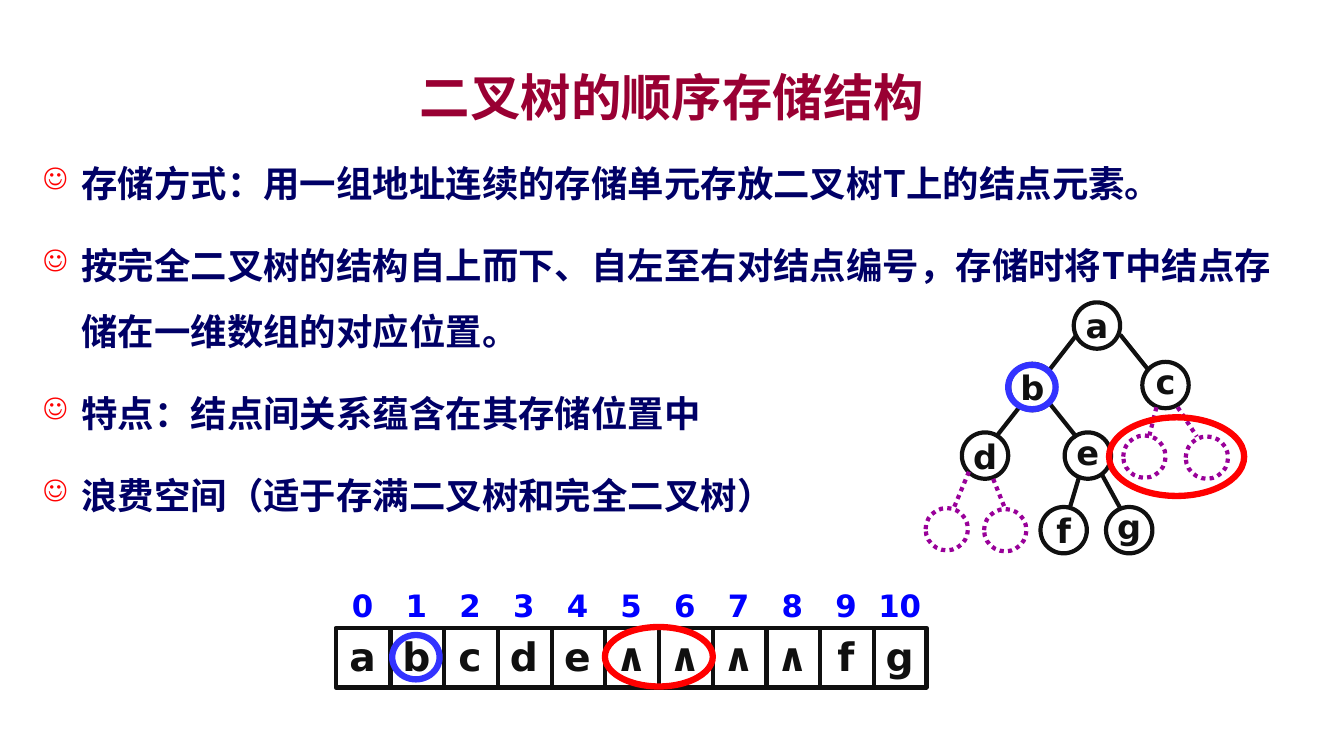
from lxml.etree import SubElement
from pptx import Presentation
from pptx.dml.color import RGBColor
from pptx.enum.dml import MSO_LINE as Dash
from pptx.enum.shapes import MSO_CONNECTOR, MSO_SHAPE as Preset
from pptx.enum.text import MSO_ANCHOR as Anchor, PP_ALIGN as Align
from pptx.oxml.ns import qn
from pptx.util import Inches, Pt

MAROON = RGBColor(0x99, 0x00, 0x33)
NAVY = RGBColor(0x00, 0x00, 0x66)
INK = RGBColor(0x10, 0x10, 0x10)
PURPLE = RGBColor(0x99, 0x00, 0x99)
RED = RGBColor(0xFF, 0x00, 0x00)
RING_BLUE = RGBColor(0x33, 0x33, 0xFF)
INDEX_BLUE = RGBColor(0x00, 0x00, 0xFF)
HAN_FONT = "Noto Sans CJK SC"
LETTER_FONT = "DejaVu Sans"


def draw(shapes, preset, box, color, width=3, dash=None):
    """Add a line from (x1, y1) to (x2, y2) if preset is None, else an unfilled outline."""
    lengths = [Inches(value) for value in box]
    if preset is None:
        item = shapes.add_connector(MSO_CONNECTOR.STRAIGHT, *lengths)
        SubElement(item._element.spPr, qn("a:effectLst"))
    else:
        item = shapes.add_shape(preset, *lengths)
        item.shadow.inherit = False
        item.fill.background()
    item.line.color.rgb = color
    item.line.width = Pt(width)
    if dash:
        item.line.dash_style = dash
    return item


def write(item, text, size, font, color, anchor=Anchor.MIDDLE, inset=0):
    """Put one centred bold line of text into a shape or text box."""
    frame = item.text_frame
    frame.text = text
    frame.word_wrap = inset > 0
    frame.vertical_anchor = anchor
    frame.margin_left = frame.margin_right = Inches(inset)
    frame.margin_top = frame.margin_bottom = Inches(inset / 2)
    line = frame.paragraphs[0]
    line.alignment = Align.CENTER
    run = line.runs[0]
    run.font.size, run.font.name, run.font.bold = Pt(size), font, True
    run.font.color.rgb = color
    SubElement(run.font._element, qn("a:ea"), typeface=font)


prs = Presentation()
prs.slide_width, prs.slide_height = Inches(13.33), Inches(7.5)
slide = prs.slides.add_slide(prs.slide_layouts[6])

# Title
title = slide.shapes.add_textbox(Inches(1), Inches(0.58), Inches(11.33), Inches(0.75))
write(title, "二叉树的顺序存储结构", 36, HAN_FONT, MAROON, inset=0.1)

# Bulleted points
points = [
    "存储方式：用一组地址连续的存储单元存放二叉树T上的结点元素。",
    "按完全二叉树的结构自上而下、自左至右对结点编号，存储时将T中结点存储在一维数组的对应位置。",
    "特点：结点间关系蕴含在其存储位置中",
    "浪费空间（适于存满二叉树和完全二叉树）",
]
body = slide.shapes.add_textbox(Inches(0.33), Inches(1.33), Inches(12.67), Inches(3.92)).text_frame
body.word_wrap = True
body.text = "\n".join(points)
for number, point in enumerate(body.paragraphs):
    point.line_spacing = 1.5
    point.space_before = Pt(6 if number else 0)
    point.space_after = Pt(6)
    props = point._p.get_or_add_pPr()
    props.set("marL", str(Inches(0.38)))
    props.set("indent", str(-Inches(0.38)))
    bullet_color = SubElement(props, qn("a:buClr"))
    SubElement(bullet_color, qn("a:srgbClr"), val=str(RED))
    SubElement(props, qn("a:buSzPct"), val="80000")
    SubElement(props, qn("a:buChar"), char="☺")
    run = point.runs[0]
    run.font.size, run.font.name, run.font.bold = Pt(26), HAN_FONT, True
    run.font.color.rgb = NAVY
    SubElement(run.font._element, qn("a:ea"), typeface=HAN_FONT)

# Binary tree
tree = slide.shapes.add_group_shape().shapes
nodes = [
    ("a", 10.65, 3, Anchor.MIDDLE), ("b", 10.01, 3.61, Anchor.MIDDLE),
    ("c", 11.33, 3.59, Anchor.BOTTOM), ("d", 9.54, 4.29, Anchor.MIDDLE),
    ("e", 10.56, 4.29, Anchor.BOTTOM), ("f", 10.32, 5.03, Anchor.MIDDLE),
    ("g", 10.97, 5.03, Anchor.BOTTOM),
]
for letter, left, top, anchor in nodes:
    node = draw(tree, Preset.OVAL, (left, top, 0.46, 0.46), INK)
    write(node, letter, 24, LETTER_FONT, INK, anchor)

edges = [
    (10.68, 3.32, 10.4, 3.68), (11.11, 3.32, 11.39, 3.67), (10.11, 4.04, 9.89, 4.32),
    (10.4, 3.99, 10.68, 4.34), (10.7, 4.74, 10.61, 5.04), (10.93, 4.71, 11.11, 5.04),
]
for edge in edges:
    draw(tree, None, edge, INK)

for left, top in [(11.14, 4.32), (11.76, 4.33), (9.18, 5.04), (9.76, 5.05)]:
    draw(tree, Preset.OVAL, (left, top, 0.42, 0.42), PURPLE, dash=Dash.ROUND_DOT)
missing_edges = [
    (9.61, 4.68, 9.46, 5.04), (9.85, 4.75, 9.97, 5.05),
    (11.47, 4.04, 11.4, 4.32), (11.68, 4.04, 11.87, 4.33),
]
for edge in missing_edges:
    draw(tree, None, edge, PURPLE, dash=Dash.ROUND_DOT)

draw(tree, Preset.OVAL, (11, 4.14, 1.34, 0.78), RED, 4.5)
draw(tree, Preset.OVAL, (10, 3.62, 0.47, 0.44), RING_BLUE, 4.5)

# Array with indices
array = slide.shapes.add_group_shape().shapes
elements = "abcde∧∧∧∧fg"
array_left, array_top, array_width, array_height = 3.33, 6.23, 5.86, 0.59
cell_width = array_width / len(elements)
draw(array, Preset.RECTANGLE, (array_left, array_top, array_width, array_height), INK)
for index, element in enumerate(elements):
    left = array_left + index * cell_width
    if index:
        draw(array, None, (left + 0.01, array_top, left + 0.01, array_top + array_height), INK)
    labels = [(element, array_top, 0.56, 28, INK), (str(index), 5.81, 0.38, 22, INDEX_BLUE)]
    for text, top, height, size, color in labels:
        label = array.add_textbox(Inches(left), Inches(top), Inches(cell_width), Inches(height))
        write(label, text, size, LETTER_FONT, color)

draw(array, Preset.OVAL, (6, 6.22, 1.07, 0.59), RED, 4.5)
draw(array, Preset.OVAL, (3.89, 6.3, 0.47, 0.44), RING_BLUE, 4.5)

prs.save("out.pptx")
